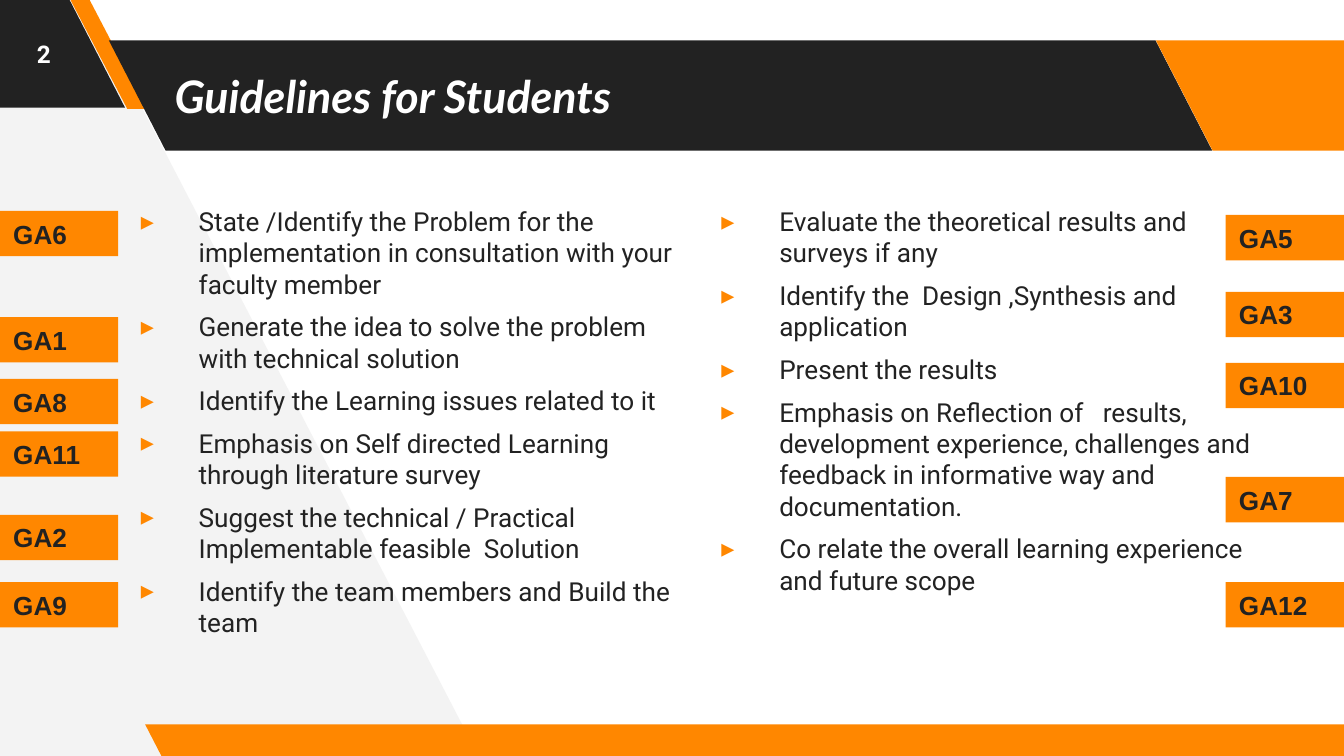
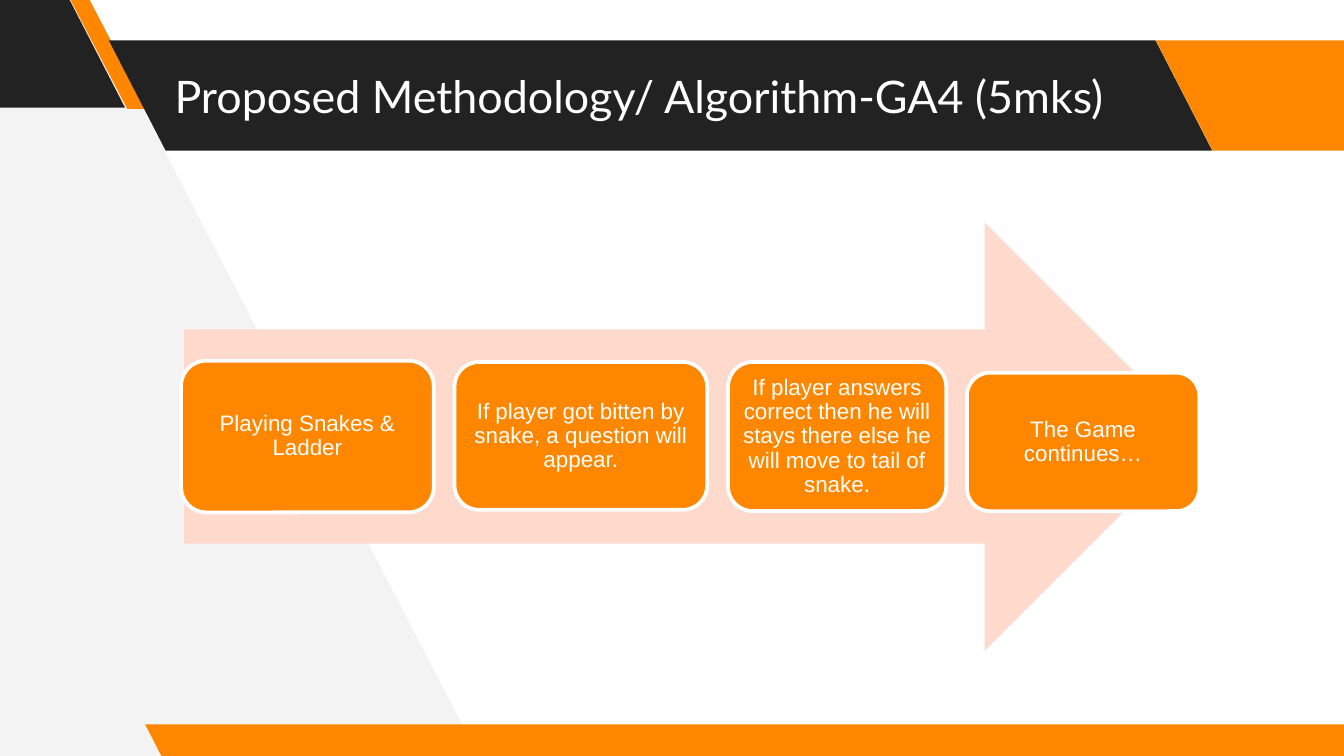
from collections import namedtuple
from lxml import etree
from pptx import Presentation
from pptx.dml.color import RGBColor
from pptx.enum.shapes import MSO_SHAPE as Shape
from pptx.enum.text import MSO_ANCHOR as Anchor, PP_ALIGN as Align
from pptx.oxml.ns import qn
from pptx.util import Inches, Pt

Box = namedtuple("Box", "x y w h")
PAGE = Box(0, 0, 10, 5.625)

ORANGE, DARK, PALE, PEACH, WHITE = "FF8700", "222222", "F3F3F3", "FFD9CC", "FFFFFF"
HEAD, BODY, LABEL = "Lato", "Roboto", "Arial"
BAND_Y, BAND_H = 5.33, 14.58
TAG_W, TAG_H = 8.8, 6

# left, top, width, height, slant, colour; percent of the slide
BANDS = [
    (-9.9, -0.36, 19.2, BAND_H, 0.515, DARK),
    (5.2, -0.18, 5.7, BAND_H, 0.75, ORANGE),
    (8.1, BAND_Y, 82.1, BAND_H, 0.515, DARK),
    (86, BAND_Y, 19.2, BAND_H, 0.515, ORANGE),
    (10.8, 95.82, 91.5, 4.44, 0.515, ORANGE),
]
WEDGE = [(35.6, 100), (6.2, -0.7), (-0.6, -0.7), (-0.2, 100.6)]

LEFT = [
    "State /Identify the Problem for the implementation in consultation with your faculty member",
    "Generate the idea to solve the problem with technical solution",
    "Identify the Learning issues related to it",
    "Emphasis on Self directed Learning through literature survey",
    "Suggest the technical / Practical Implementable feasible  Solution",
    "Identify the team members and Build the team",
]
RIGHT = [
    "Evaluate the theoretical results and surveys if any",
    "Identify the  Design ,Synthesis and application",
    "Present the results",
    "Emphasis on Reflection of   results, development experience, "
    "challenges and feedback in informative way and documentation.",
    "Co relate the overall learning experience and future scope",
]
# tag and its top in percent of the slide
LEFT_TAGS = [("GA6", 27.9), ("GA1", 41.96), ("GA8", 50.13),
             ("GA11", 57.07), ("GA2", 68.1), ("GA9", 77)]
RIGHT_TAGS = [("GA5", 28.44), ("GA3", 38.6), ("GA10", 48), ("GA7", 63.1), ("GA12", 77)]

# text, then top, width and height in percent of the arrow
STEPS = [
    ("Playing Snakes & Ladder", 32.3, 24.9, 35.4),
    ("If player got bitten by snake, a question will appear.", 32.6, 24.9, 34.5),
    ("If player answers correct then he will stays there else he will "
     "move to tail of snake.", 32.6, 21.5, 34.8),
    ("The Game continues…", 35.1, 22.9, 32.3),
]
STEP_X, STEP_GAP = -0.3, 2.05


def color(code):
    return RGBColor.from_string(code)


def part(box, x, y, w, h):
    """Box at the given percentages of another box."""
    return Box(box.x + box.w * x / 100, box.y + box.h * y / 100,
               box.w * w / 100, box.h * h / 100)


def paint(shape, fill, line=None):
    shape.shadow.inherit = False
    shape.fill.solid()
    shape.fill.fore_color.rgb = color(fill)
    if line:
        shape.line.color.rgb = color(line)
        shape.line.width = Pt(2)
    else:
        shape.line.fill.background()


def block(slide, kind, box, fill, line=None):
    shape = slide.shapes.add_shape(kind, *map(Inches, box))
    paint(shape, fill, line)
    return shape


def field(slide, box):
    return slide.shapes.add_textbox(*map(Inches, box))


def bullet(para):
    props = para._p.get_or_add_pPr()
    props.set("marL", str(Inches(0.5)))
    props.set("indent", str(Inches(-0.43)))
    tint = etree.SubElement(props, qn("a:buClr"))
    etree.SubElement(tint, qn("a:srgbClr"), val=ORANGE)
    etree.SubElement(props, qn("a:buFont"), typeface=BODY)
    etree.SubElement(props, qn("a:buChar"), char="▸")


def write(shape, *lines, size=14, font=BODY, ink=DARK, bold=False, italic=False,
          align=Align.LEFT, anchor=Anchor.MIDDLE, pad=(0.1, 0.1), space=None,
          before=0, marks=False):
    frame = shape.text_frame
    frame.word_wrap = True
    frame.vertical_anchor = anchor
    frame.margin_left = frame.margin_right = Inches(pad[0])
    frame.margin_top = frame.margin_bottom = Inches(pad[1])
    for i, line in enumerate(lines):
        para = frame.add_paragraph() if i else frame.paragraphs[0]
        para.alignment = align
        para.space_before = Pt(before)
        if space:
            para.line_spacing = space
        if marks:
            bullet(para)
        run = para.add_run()
        run.text = line
        face = run.font
        face.size, face.name = Pt(size), font
        face.bold, face.italic = bold, italic
        face.color.rgb = color(ink)


def frame(slide, box, title, **style):
    """Backdrop, slanted bands and title that every slide shares."""
    spots = [part(box, x, y, 0, 0) for x, y in WEDGE]
    dots = [(Inches(s.x), Inches(s.y)) for s in spots]
    pen = slide.shapes.build_freeform(*dots[0])
    pen.add_line_segments(dots[1:], close=True)
    paint(pen.convert_to_shape(), PALE)
    for *area, slant, fill in BANDS:
        band = block(slide, Shape.PARALLELOGRAM, part(box, *area), fill)
        band.adjustments[0] = slant
        band.element.spPr.find(qn("a:xfrm")).set("flipH", "1")
    write(field(slide, part(box, 12, BAND_Y, 82.8, BAND_H)), title,
          size=24, font=HEAD, ink=WHITE, **style)


def tags(slide, box, items):
    """Column of labels, each at its own height in the box."""
    for name, top in items:
        tag = block(slide, Shape.RECTANGLE, part(box, 0, top, 100, TAG_H), ORANGE)
        write(tag, name, font=LABEL, bold=True, pad=(0.1, 0.05))


def points(slide, box, lines):
    write(field(slide, box), *lines, anchor=Anchor.TOP, before=6, marks=True)


def flow(slide, box):
    """Arrow with a row of steps on it."""
    block(slide, Shape.RIGHT_ARROW, box, PEACH)
    x = STEP_X
    for words, top, wide, high in STEPS:
        step = block(slide, Shape.ROUNDED_RECTANGLE,
                     part(box, x, top, wide, high), ORANGE, WHITE)
        write(step, words, size=12, font=LABEL, ink=WHITE, align=Align.CENTER,
              pad=(0.05, 0.05), space=0.9)
        x += wide + STEP_GAP


def guide(slide, box):
    frame(slide, box, "Guidelines for Students", bold=True, italic=True)
    points(slide, part(box, 8.8, 25.4, 43.5, 68.8), LEFT)
    points(slide, part(box, 52, 25.4, 43, 68.8), RIGHT)
    write(field(slide, part(box, 0, 0, 6.5, 14.2)), "2",
          size=13, ink=WHITE, bold=True, align=Align.CENTER)
    tags(slide, part(box, 0, 0, TAG_W, 100), LEFT_TAGS)
    tags(slide, part(box, 100 - TAG_W, 0, TAG_W, 100), RIGHT_TAGS)


def method(slide, box):
    frame(slide, box, "Proposed Methodology/ Algorithm-GA4 (5mks)")
    flow(slide, part(box, 13.7, 29.4, 75.5, 56.7))


def main():
    deck = Presentation()
    deck.slide_width, deck.slide_height = Inches(PAGE.w), Inches(PAGE.h)
    for build in (guide, method):
        build(deck.slides.add_slide(deck.slide_layouts[6]), PAGE)
    deck.save("out.pptx")


if __name__ == "__main__":
    main()
